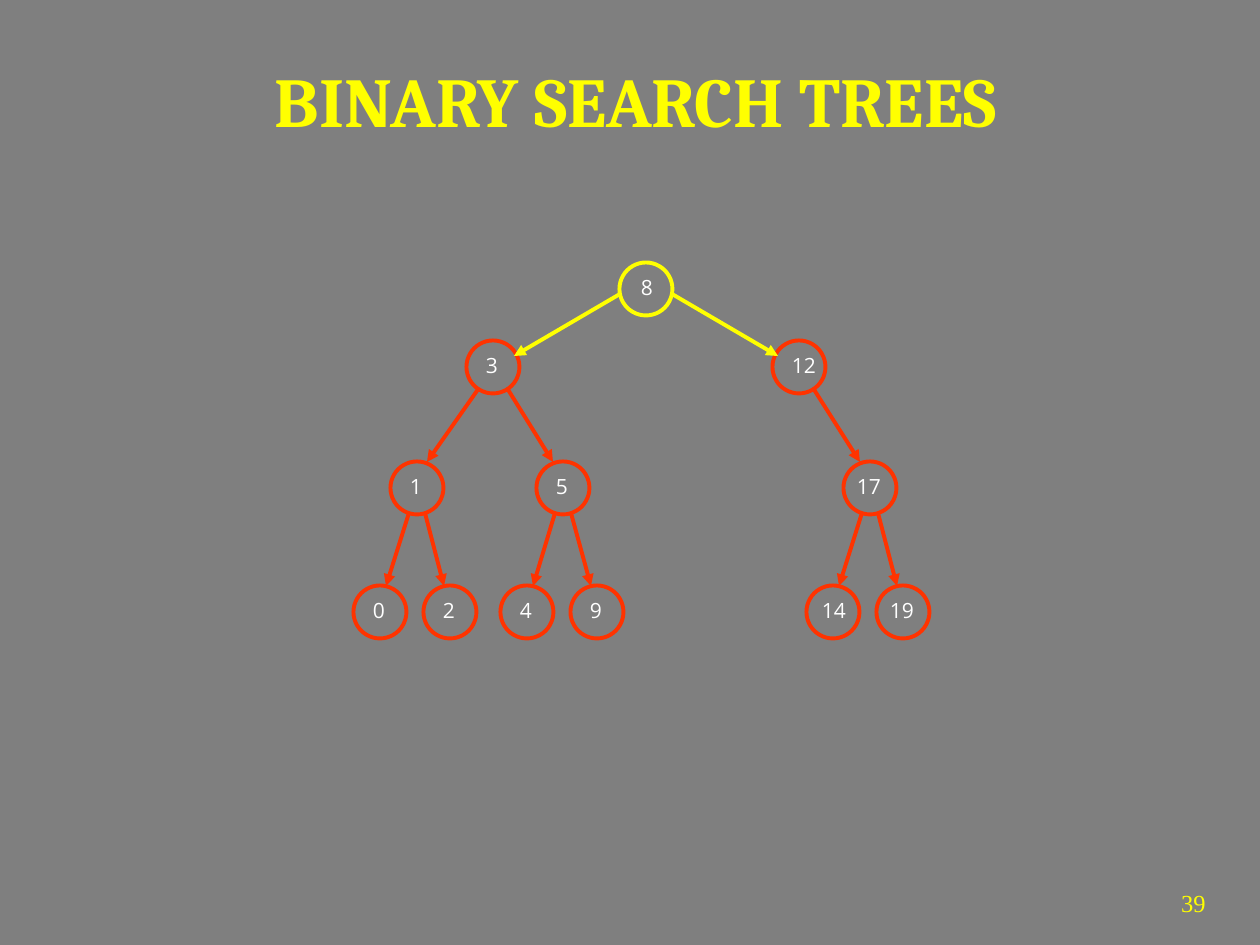
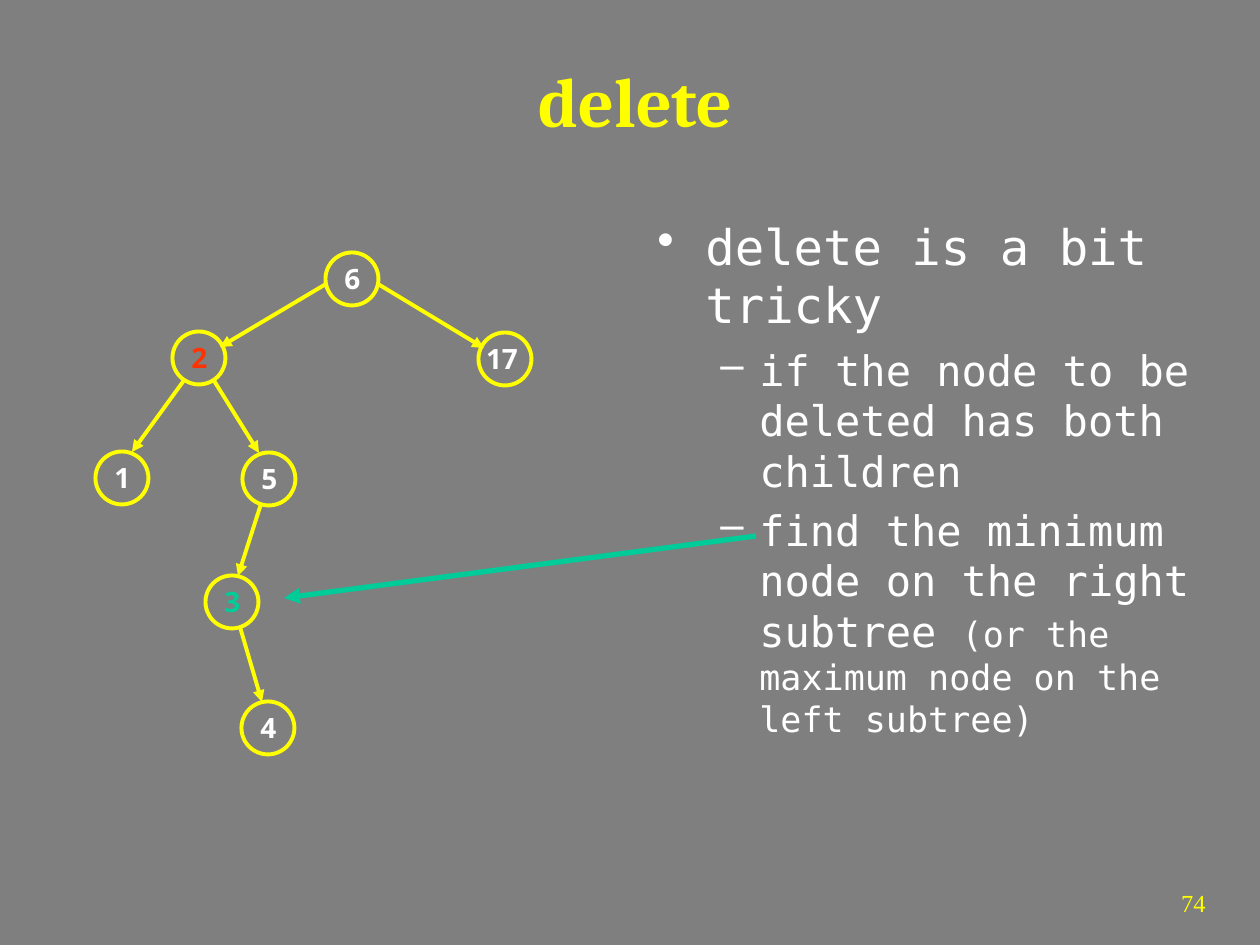
"""Builds two slides on binary search trees."""
from lxml import etree
from pptx import Presentation, util as u
from pptx.dml.color import RGBColor
from pptx.enum import shapes, text
from pptx.oxml.ns import qn

HUES = {"back": "7F7F7F", "gold": "FFFF00", "red": "FF3300",
        "green": "00CC99", "white": "FFFFFF"}
FONTS = {"title": "Cambria", "page": "Times New Roman",
         "body": "DejaVu Sans Mono", "node": "Open Sans"}
EMU = 914400 / 126
DIAM = 53

# Each node: value, parent, centre x, centre y
SEARCH = {
    "title": "BINARY SEARCH TREES", "page": "39",
    "nodes": [
        (8, None, 646, 289),
        (3, 8, 493, 367), (12, 8, 799, 367),
        (1, 3, 417, 488), (5, 3, 563, 488), (17, 12, 870, 488),
        (0, 1, 380, 612), (2, 1, 450, 612), (4, 5, 527, 612),
        (9, 5, 597, 612), (14, 17, 833, 612), (19, 17, 903, 612)],
    "rings": {8: "gold"}, "ring": "red", "inks": {},
    "shift": {8: 1, 12: 5, 14: 1}, "nudge": -1,
    "label": {"size": 12, "bold": False, "widths": (37, 49), "high": 38, "rise": 21},
}
DELETE = {
    "title": "delete", "page": "74",
    "nodes": [
        (6, None, 352, 279),
        (2, 6, 199, 358), (17, 6, 505, 359),
        (1, 2, 122, 478), (5, 2, 269, 479),
        (3, 5, 232, 602), (4, 3, 268, 728)],
    "rings": {}, "ring": "gold", "inks": {2: "red", 3: "green"},
    "shift": {17: -3}, "nudge": 0,
    "label": {"size": 16, "bold": True, "widths": (40, 57), "high": 47, "rise": 24},
}
# Each point: bullet, left margin, hanging indent, space before, runs
POINTS = [
    ("•", 48, 48, 0, [("delete is a bit tricky", 28)]),
    ("–", 102, 39, 6, [("if the node to be deleted has both children", 24)]),
    ("–", 102, 39, 5, [("find the minimum node on the right subtree ", 24),
                       ("(or the maximum node on the left subtree)", 20)]),
]
# Edge offsets from the two centres, by depth of the child; the last serves all deeper ones
EDGES = [((26, 5), (21, -11)), ((14, 21), (10, -26)), ((8, 25), (6, -26))]


def px(*nums):
    return [u.Emu(round(n * EMU)) for n in nums]


def hue(name):
    return RGBColor.from_string(HUES[name])


def style(run, font, size, ink, bold=False):
    run.font.name = FONTS[font]
    run.font.size = u.Pt(size)
    run.font.bold = bold
    run.font.color.rgb = hue(ink)


def write(slide, words, place, font, size, ink, align, bold=False, wrap=True):
    frame = slide.shapes.add_textbox(*px(*place)).text_frame
    frame.word_wrap = wrap
    frame.text = words
    para = frame.paragraphs[0]
    para.alignment = align
    style(para.runs[0], font, size, ink, bold)
    return frame


def arrow(slide, start, end, ink, width=2.25):
    link = slide.shapes.add_connector(
        shapes.MSO_CONNECTOR.STRAIGHT, *px(*start, *end))
    link.line.color.rgb = hue(ink)
    link.line.width = u.Pt(width)
    props = link._element.spPr
    etree.SubElement(props.find(qn("a:ln")), qn("a:tailEnd"), type="triangle")
    etree.SubElement(props, qn("a:effectLst"))


def tree(slide, data):
    spots, depth, look = {}, {None: -1}, data["label"]
    for value, above, x, y in data["nodes"]:
        spots[value] = x, y
        depth[value] = depth[above] + 1
        ring = slide.shapes.add_shape(
            shapes.MSO_SHAPE.OVAL, *px(x - DIAM / 2, y - DIAM / 2, DIAM, DIAM))
        ring.shadow.inherit = False
        ring.fill.background()
        ring.line.color.rgb = hue(data["rings"].get(value, data["ring"]))
        ring.line.width = u.Pt(2.25)
    for value, above, x, y in data["nodes"]:
        if above is not None:
            (ax, ay), (bx, by) = EDGES[min(depth[value], len(EDGES)) - 1]
            topx, topy = spots[above]
            side = 1 if x > topx else -1
            arrow(slide, (topx + side * ax, topy + ay), (x - side * bx, y + by),
                  data["rings"].get(above, data["ring"]))
        wide = look["widths"][value > 9]
        left = x + data["shift"].get(value, data["nudge"]) - wide / 2
        write(slide, str(value), (left, y - look["rise"], wide, look["high"]),
              "node", look["size"], data["inks"].get(value, "white"),
              text.PP_ALIGN.CENTER, look["bold"], False)


def bullets(slide):
    frame = slide.shapes.add_textbox(*px(645, 210, 572, 693)).text_frame
    frame.word_wrap = True
    for i, (mark, left, hang, gap, runs) in enumerate(POINTS):
        para = frame.add_paragraph() if i else frame.paragraphs[0]
        props = para._p.get_or_add_pPr()
        props.set("marL", str(px(left)[0]))
        props.set("indent", str(px(-hang)[0]))
        tint = etree.SubElement(props, qn("a:buClr"))
        etree.SubElement(tint, qn("a:srgbClr"), val=HUES["white"])
        etree.SubElement(props, qn("a:buChar"), char=mark)
        para.space_before = u.Pt(gap)
        for words, size in runs:
            run = para.add_run()
            run.text = words
            style(run, "body", size, "white")


def start(deck, data):
    slide = deck.slides.add_slide(deck.slide_layouts[6])
    slide.background.fill.solid()
    slide.background.fill.fore_color.rgb = hue("back")
    write(slide, data["page"], (1092, 882, 126, 63), "page", 14, "gold",
          text.PP_ALIGN.RIGHT)
    head = write(slide, data["title"], (53, 32, 1165, 136), "title", 40, "gold",
                 text.PP_ALIGN.CENTER, True)
    head.vertical_anchor = text.MSO_ANCHOR.MIDDLE
    return slide


def main():
    deck = Presentation()
    deck.slide_width, deck.slide_height = px(1260, 945)
    tree(start(deck, SEARCH), SEARCH)
    slide = start(deck, DELETE)
    bullets(slide)
    tree(slide, DELETE)
    arrow(slide, (756, 536), (284, 598), "green", 3)
    deck.save("out.pptx")


if __name__ == "__main__":
    main()
